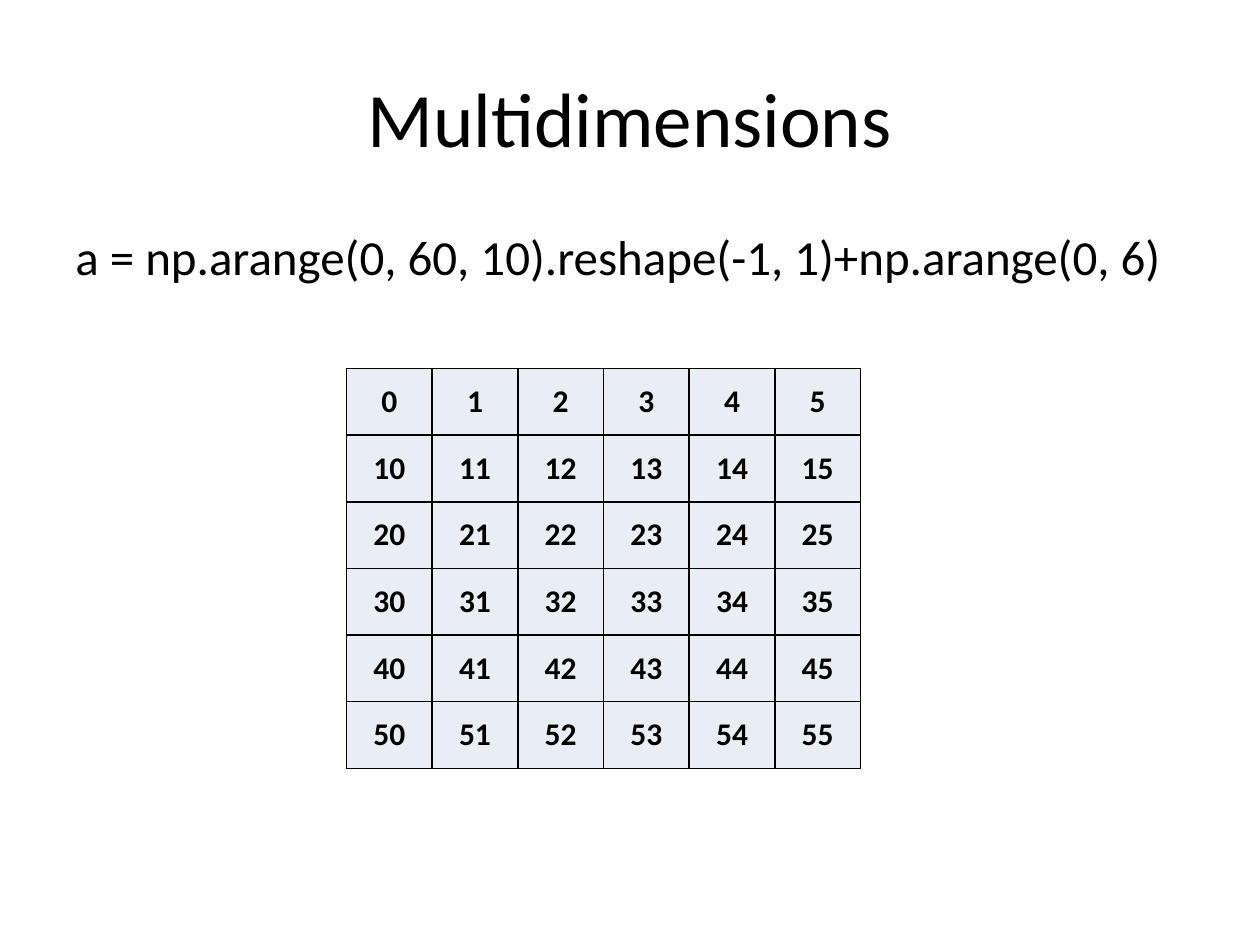
from dataclasses import dataclass

from lxml import etree
from pptx import Presentation
from pptx.dml.color import RGBColor
from pptx.enum.text import MSO_ANCHOR, PP_ALIGN
from pptx.oxml.ns import qn
from pptx.util import Inches, Pt

CENTER, LEFT = PP_ALIGN.CENTER, PP_ALIGN.LEFT
MIDDLE, TOP = MSO_ANCHOR.MIDDLE, MSO_ANCHOR.TOP
TITLE_ONLY = 5
SIDES = ("a:lnL", "a:lnR", "a:lnT", "a:lnB")


@dataclass(frozen=True)
class Theme:
    font: str = "Calibri"
    ink: str = "000000"
    cell: str = "E9EDF4"
    title: int = 44
    code: int = 28
    number: int = 18
    border: int = 1


THEME = Theme()
WIDTH, HEIGHT = Inches(10), Inches(7.5)
MARGIN = 0.05
GRID_SIZE = 6
STEP = 10


def box(left, top, width, height):
    return int(left * WIDTH), int(top * HEIGHT), int(width * WIDTH), int(height * HEIGHT)


def place(sp, area):
    sp.left, sp.top, sp.width, sp.height = area


def write(tf, text, size, align, bold=False):
    tf.text = text
    p = tf.paragraphs[0]
    p.alignment = align
    font = p.runs[0].font
    font.name, font.size, font.bold = THEME.font, Pt(size), bold
    font.color.rgb = RGBColor.from_string(THEME.ink)


def add_title(s, area, text):
    sp = s.shapes.title
    place(sp, area)
    write(sp.text_frame, text, THEME.title, CENTER)
    sp.text_frame.vertical_anchor = MIDDLE


def add_code(s, area, text):
    tf = s.shapes.add_textbox(*area).text_frame
    tf.word_wrap = True
    tf.vertical_anchor = TOP
    write(tf, text, THEME.code, LEFT)


def add_borders(cell):
    props = cell._tc.get_or_add_tcPr()
    for i, side in enumerate(SIDES):
        line = etree.Element(qn(side), w=str(Pt(THEME.border)))
        fill = etree.SubElement(line, qn("a:solidFill"))
        etree.SubElement(fill, qn("a:srgbClr"), val=THEME.ink)
        props.insert(i, line)


def add_array(s, area, size):
    frame = s.shapes.add_table(size, size, *area)
    table = frame.table
    table.first_row = table.horz_banding = False
    for row in range(size):
        table.rows[row].height = area[3] // size
        table.columns[row].width = area[2] // size
        for col in range(size):
            cell = table.cell(row, col)
            cell.fill.solid()
            cell.fill.fore_color.rgb = RGBColor.from_string(THEME.cell)
            cell.vertical_anchor = MIDDLE
            write(cell.text_frame, str(STEP * row + col), THEME.number, CENTER, bold=True)
            add_borders(cell)


def main():
    prs = Presentation()
    prs.slide_width, prs.slide_height = WIDTH, HEIGHT
    s = prs.slides.add_slide(prs.slide_layouts[TITLE_ONLY])
    content = 1 - 2 * MARGIN
    add_title(s, box(MARGIN, 0.04, content, 1 / 6), "Multidimensions")
    add_code(s, box(MARGIN, 7 / 30, content, 0.66),
             "a = np.arange(0, 60, 10).reshape(-1, 1)+np.arange(0, 6)")
    add_array(s, box(0.275, 0.39, 0.408, 0.423), GRID_SIZE)
    prs.save("out.pptx")


if __name__ == "__main__":
    main()
